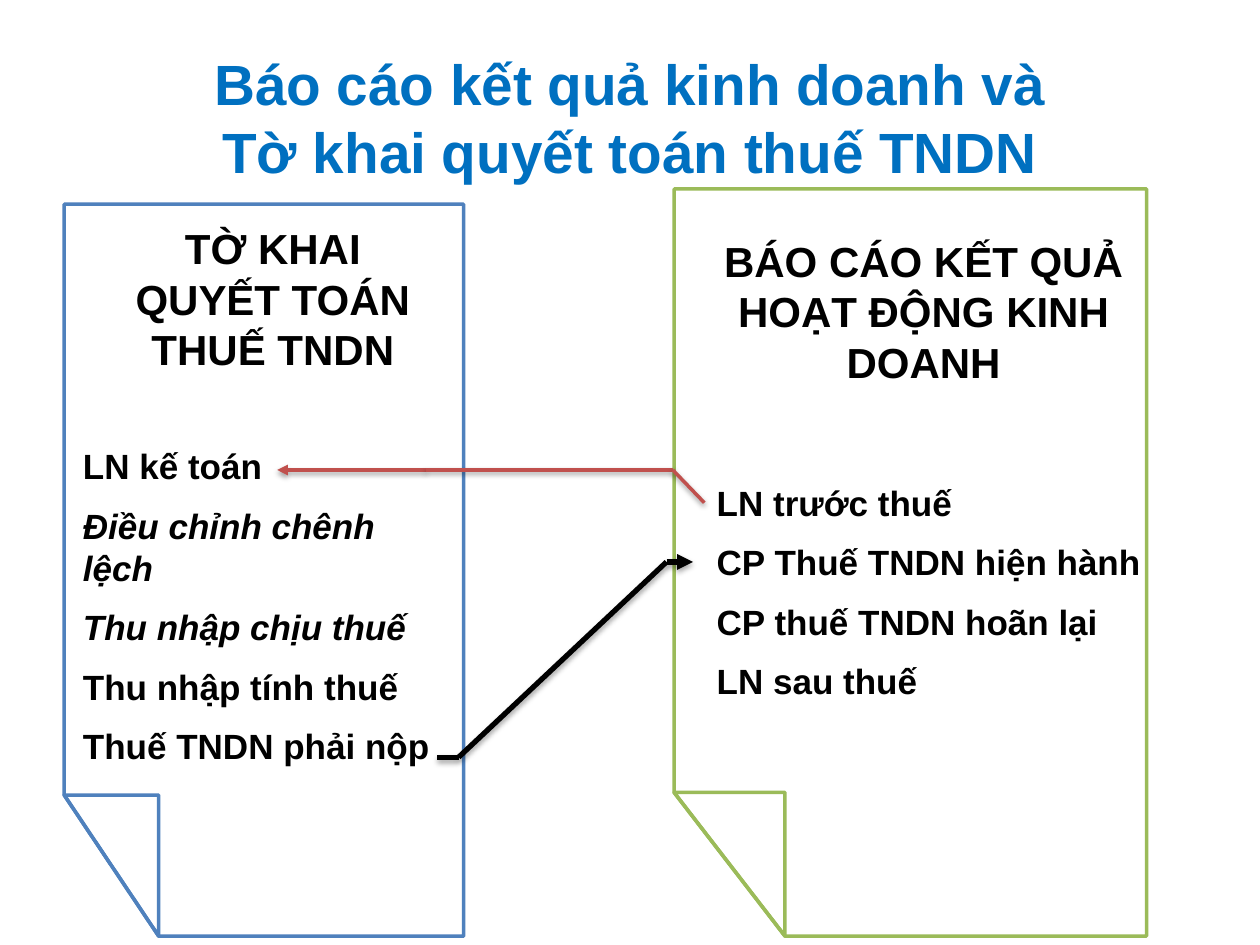
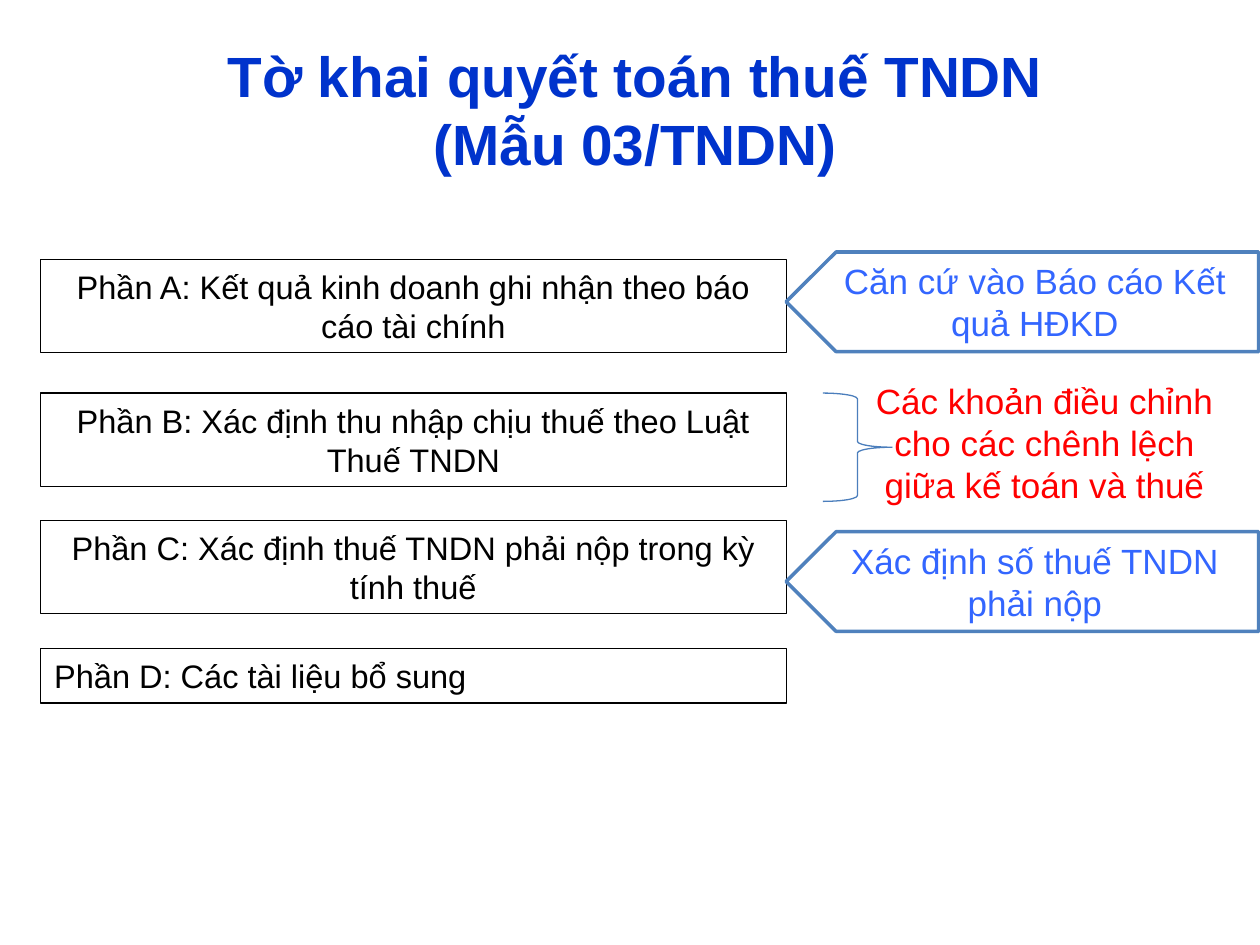
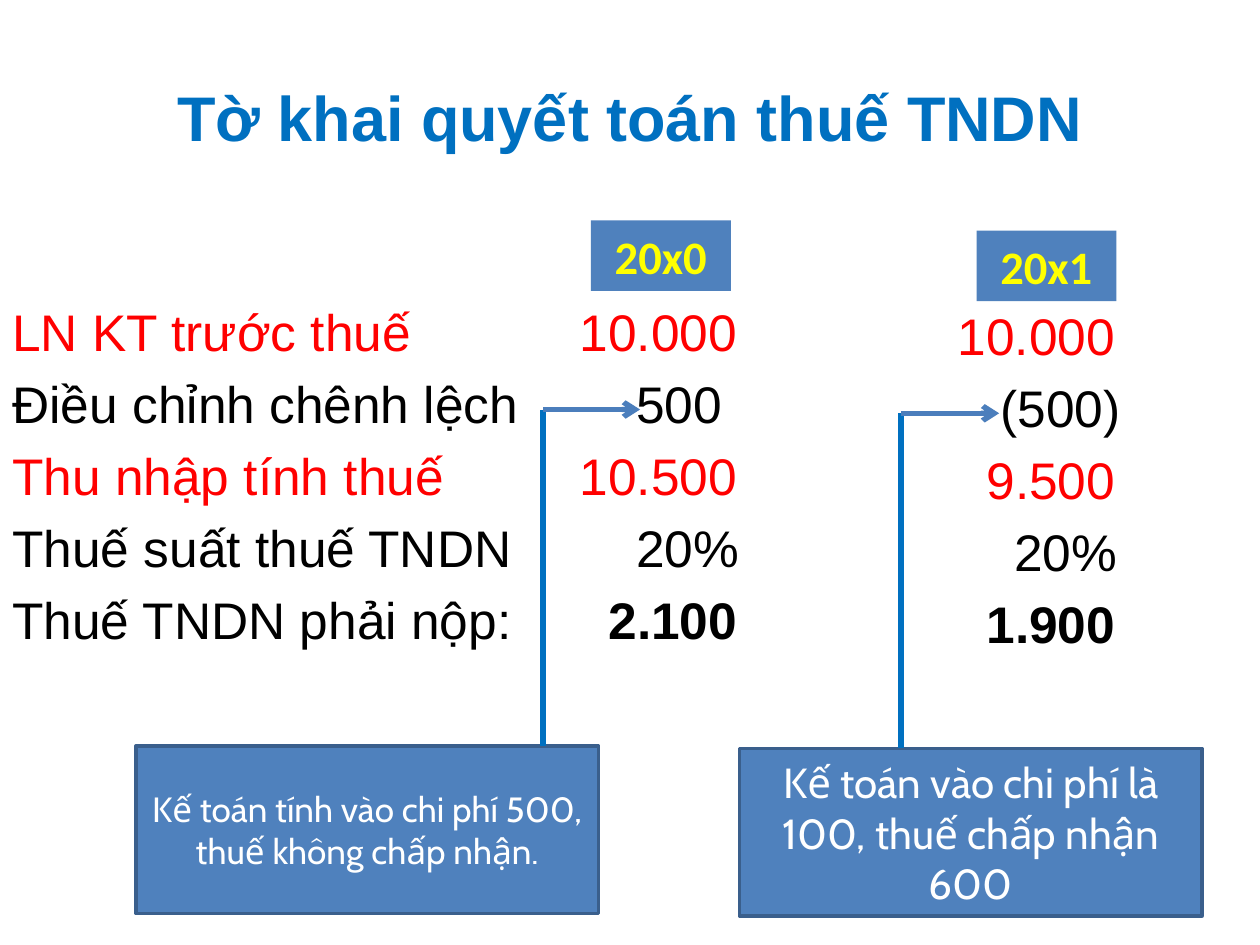
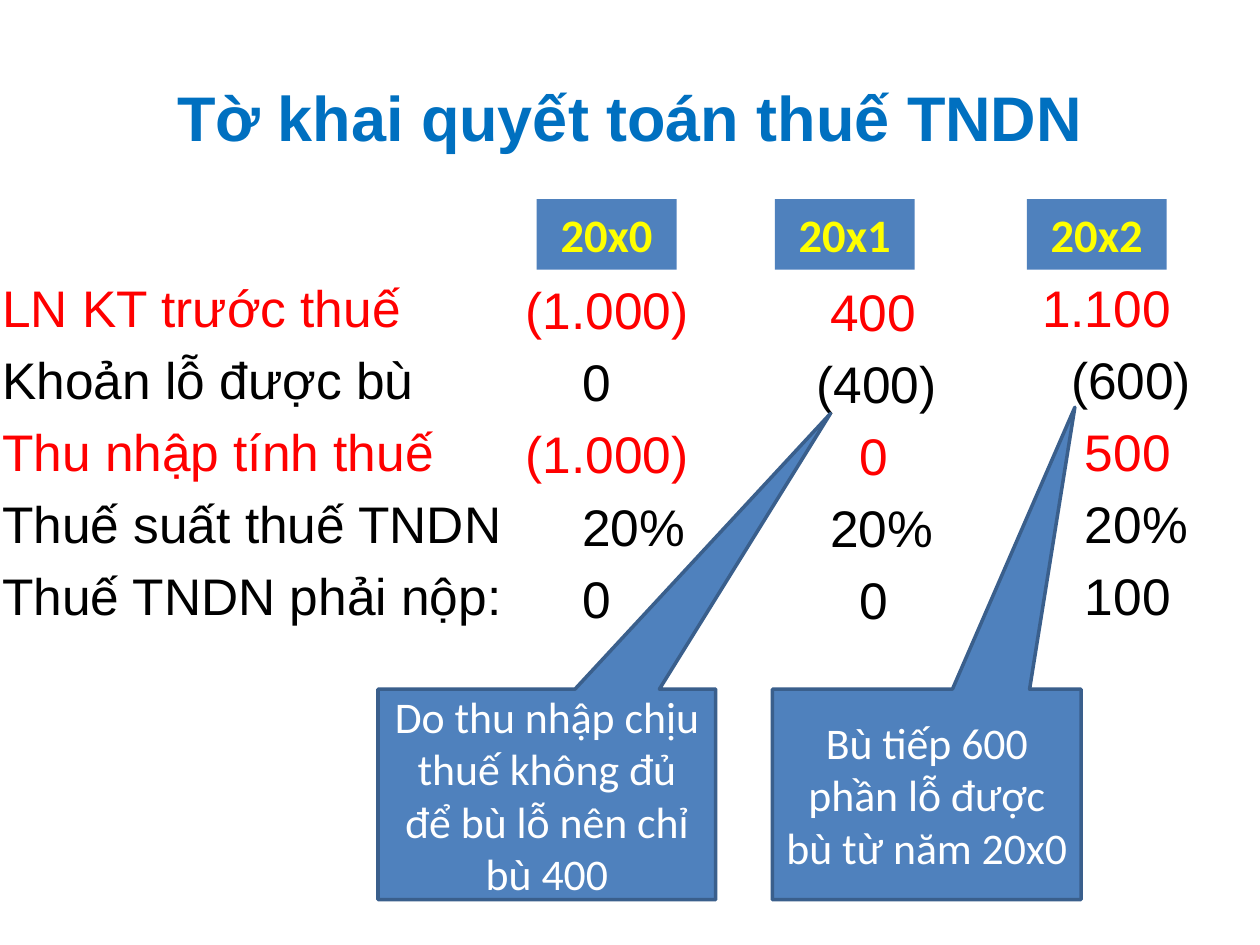
from pptx import Presentation
from pptx.dml.color import RGBColor
from pptx.enum.shapes import MSO_CONNECTOR, MSO_SHAPE as SHAPE
from pptx.enum.text import MSO_ANCHOR as ANCHOR, MSO_AUTO_SIZE, PP_ALIGN as ALIGN
from pptx.oxml.ns import qn
from pptx.util import Inches, Pt
from lxml import etree

BLUE, EDGE, LINK = "4F81BD", "3A5F8C", "4B7EBC"
TITLE, RED, BLACK, WHITE = "0070C0", "FF0000", "000000", "FFFFFF"

# Shared text formats
HEADING = {"size": 24, "bold": True, "align": ALIGN.CENTER}
ITEMS = {"size": 20, "bold": True, "gap": 10}
PART = {"size": 18.6, "insets": (0.11, 0.06)}
REMARK = {"size": 20, "align": ALIGN.CENTER, "insets": (0.11, 0.06)}
ROWS = {"size": 29.4, "gap": 5.9}
FIGURES = {**ROWS, "align": ALIGN.JUSTIFY, "insets": (0.13, 0.07)}
YEAR = {"size": 26.6, "name": "Calibri", "bold": True, "color": "FFFF00",
        "align": ALIGN.CENTER, "anchor": ANCHOR.MIDDLE}
NOTE = {"color": WHITE, "align": ALIGN.CENTER, "anchor": ANCHOR.MIDDLE}

# Slide 1: two documents; sheet is left, top, right, bottom, fold x, fold y
DOCUMENTS = [
    {"sheet": (5.35, 1.5, 9.1, 7.43, 6.23, 6.29), "line": "9BBB59",
     "head": ("BÁO CÁO KẾT QUẢ HOẠT ĐỘNG KINH DOANH", (5.58, 1.82, 3.5, 1.31)),
     "items": ["LN trước thuế", "CP Thuế TNDN hiện hành",
               "CP thuế TNDN hoãn lại", "LN sau thuế"],
     "box": (5.59, 3.77, 3.66, 1.95)},
    {"sheet": (0.51, 1.62, 3.68, 7.43, 1.26, 6.31), "line": BLUE,
     "head": ("TỜ KHAI QUYẾT TOÁN THUẾ TNDN", (0.79, 1.72, 2.75, 1.31)),
     "items": ["LN kế toán",
               ("Điều chỉnh chênh lệch", {"italic": True}),
               ("Thu nhập chịu thuế", {"italic": True}),
               "Thu nhập tính thuế", "Thuế TNDN phải nộp"],
     "box": (0.56, 3.48, 3.02, 2.79)},
]
PROFIT_LINK = [(2.2, 3.73), (3.38, 3.73), (5.34, 3.73), (5.59, 3.99)]
TAX_LINK = [(3.47, 6.01), (3.64, 6.01), (5.29, 4.46), (5.5, 4.46)]

# Slide 2: form parts (text, top, height, alignment) and remarks
PARTS = [
    ("Phần A: Kết quả kinh doanh ghi nhận theo báo cáo tài chính", 2.06, 0.74, ALIGN.CENTER),
    ("Phần B: Xác định thu nhập chịu thuế theo Luật Thuế TNDN", 3.12, 0.74, ALIGN.CENTER),
    ("Phần C: Xác định thuế TNDN phải nộp trong kỳ tính thuế", 4.13, 0.74, ALIGN.CENTER),
    ("Phần D: Các tài liệu bổ sung", 5.15, 0.43, ALIGN.LEFT),
]
ARROW_REMARKS = [("Căn cứ vào Báo cáo Kết quả HĐKD", 2),
                 ("Xác định số thuế TNDN phải nộp", 4.22)]
BRACE_REMARK = "Các khoản điều chỉnh cho các chênh lệch giữa kế toán và thuế"

# Slides 3 and 4: row labels, then year columns with (figure, indent)
LABELS = ["LN KT trước thuế", "Điều chỉnh chênh lệch", "Thu nhập tính thuế",
          "Thuế suất thuế TNDN", "Thuế TNDN phải nộp:"]
LOSS_LABELS = [LABELS[0], "Khoản lỗ được bù", *LABELS[2:]]
ADJUSTED = [
    {"year": "20x0", "tag": (4.69, 1.75), "box": (4.47, 2.31, 2.25, 3.11), "bold_last": True,
     "figures": [("10.000", 0), ("500", 0.45), ("10.500", 0), ("20%", 0.45), ("2.100", 0.23)]},
    {"year": "20x1", "tag": (7.75, 1.83), "box": (7.47, 2.34, 2.11, 3.11), "bold_last": True,
     "figures": [("10.000", 0), ("(500)", 0.34), ("9.500", 0.23), ("20%", 0.45), ("1.900", 0.23)]},
]
LOSSES = [
    {"year": "20x0", "tag": (4.26, 1.58), "box": (4.04, 2.14, 2.11, 3.11),
     "figures": [("(1.000)", 0), ("0", 0.45), ("(1.000)", 0), ("20%", 0.45), ("0", 0.45)]},
    {"year": "20x1", "tag": (6.15, 1.58), "box": (6.35, 2.15, 2.11, 3.62),
     "figures": [("400", 0.11), ("(400)", 0), ("0", 0.34), ("20%", 0.11), ("0", 0.34)]},
    {"year": "20x2", "tag": (8.15, 1.58), "box": (8.14, 2.12, 2.11, 4.62),
     "figures": [("1.100", 0), ("(600)", 0.23), ("500", 0.34), ("20%", 0.34), ("100", 0.34)]},
]
REASONS = [  # text, size, box, elbow corner, arrow tip x
    ("Kế toán tính vào chi phí 500, thuế không chấp nhận.", 20,
     (1.08, 5.92, 3.67, 1.33), (4.31, 3.25), 5.08),
    ("Kế toán vào chi phí là 100, thuế chấp nhận 600", 24,
     (5.87, 5.94, 3.67, 1.33), (7.15, 3.28), 7.93),
]
CALLOUTS = [  # text, box, pointer
    ("Do thu nhập chịu thuế không đủ để bù lỗ nên chỉ bù 400",
     (3, 5.47, 2.68, 1.67), (0.84, -1.81)),
    ("Bù tiếp 600 phần lỗ được bù từ năm 20x0",
     (6.13, 5.47, 2.45, 1.67), (0.48, -1.84)),
]

prs = Presentation()
prs.slide_width, prs.slide_height = Inches(10), Inches(7.5)


def rgb(value):
    return RGBColor.from_string(value)


def inches(values):
    return [Inches(v) for v in values]


def write(sp, paras, size, name="Arial", color=BLACK, bold=False, align=ALIGN.LEFT,
          anchor=ANCHOR.TOP, insets=(0.1, 0.05), gap=0):
    """Fill a shape; each paragraph is a string or (string, overrides)."""
    tf = sp.text_frame
    x, y = inches(insets)
    frame = {"word_wrap": True, "auto_size": MSO_AUTO_SIZE.NONE, "vertical_anchor": anchor,
             "margin_left": x, "margin_right": x, "margin_top": y, "margin_bottom": y}
    for key, value in frame.items():
        setattr(tf, key, value)
    for i, para in enumerate(paras):
        text, extra = (para, {}) if isinstance(para, str) else para
        p = tf.paragraphs[0] if i == 0 else tf.add_paragraph()
        p.text, p.alignment = text, align
        p.space_before = Pt(gap if i else 0)
        if extra.get("indent"):
            p._p.get_or_add_pPr().set("marL", str(Inches(extra["indent"])))
        font = {"size": Pt(size), "name": name, "bold": extra.get("bold", bold),
                "italic": extra.get("italic", False)}
        for r in p.runs:
            for key, value in font.items():
                setattr(r.font, key, value)
            r.font.color.rgb = rgb(extra.get("color", color))


def add_slide(title, size=36, color=TITLE, box=(0.5, 0.3, 9, 1.25)):
    s = prs.slides.add_slide(prs.slide_layouts[5])
    sp = s.shapes.title
    sp.left, sp.top, sp.width, sp.height = inches(box)
    write(sp, [title], size, color=color, bold=True, align=ALIGN.CENTER, anchor=ANCHOR.MIDDLE)
    return s


def add_text(s, box, paras, **fmt):
    write(s.shapes.add_textbox(*inches(box)), paras, **fmt)


def paint(sp, fill=None, line=None, width=2):
    sp.shadow.inherit = False
    if fill:
        sp.fill.solid()
        sp.fill.fore_color.rgb = rgb(fill)
    else:
        sp.fill.background()
    if line:
        sp.line.color.rgb = rgb(line)
        sp.line.width = Pt(width)
    else:
        sp.line.fill.background()


def add_shape(s, kind, box, fill=None, line=None, width=2):
    sp = s.shapes.add_shape(kind, *inches(box))
    paint(sp, fill, line, width)
    return sp


def add_sheet(s, sheet, line):
    """Page outline with its lower left corner folded."""
    left, top, right, bottom, fold_x, fold_y = inches(sheet)
    start, foot = (left, fold_y), (fold_x, bottom)
    fb = s.shapes.build_freeform(*foot, scale=1.0)
    fb.add_line_segments([start, (left, top), (right, top), (right, bottom)])
    fb.move_to(*start)
    fb.add_line_segments([(fold_x, fold_y), foot])
    paint(fb.convert_to_shape(), WHITE, line)


def add_path(s, points, colors, width, head=None, tail=None, shadow=None):
    """Grouped straight lines through the points, arrowheads at the ends."""
    group = s.shapes.add_group_shape()
    last = len(points) - 2
    for i, (a, b) in enumerate(zip(points, points[1:])):
        c = group.shapes.add_connector(MSO_CONNECTOR.STRAIGHT, *inches(a + b))
        c.line.color.rgb = rgb(colors[i % len(colors)])
        c.line.width = Pt(width)
        ln = c.line._get_or_add_ln()
        for tag, kind, index in (("a:headEnd", head, 0), ("a:tailEnd", tail, last)):
            if kind and i == index:
                etree.SubElement(ln, qn(tag), type=kind)
        effects = etree.SubElement(c._element.spPr, qn("a:effectLst"))
        if shadow:
            opacity, distance = shadow
            outer = etree.SubElement(effects, qn("a:outerShdw"), blurRad=str(Pt(3.1)),
                                     dist=str(Pt(distance)), dir="5400000", rotWithShape="0")
            clr = etree.SubElement(outer, qn("a:srgbClr"), val=BLACK)
            etree.SubElement(clr, qn("a:alpha"), val=str(opacity * 1000))


def add_figures(s, labels, label_box, columns):
    tints = [RED, BLACK, RED, BLACK, BLACK]
    add_text(s, label_box, [(t, {"color": c}) for t, c in zip(labels, tints)], **ROWS)
    for col in columns:
        rows = [(t, {"color": c, "indent": n}) for (t, n), c in zip(col["figures"], tints)]
        rows[-1][1]["bold"] = col.get("bold_last", False)
        add_text(s, col["box"], rows, **FIGURES)
        write(add_shape(s, SHAPE.RECTANGLE, col["tag"] + (1.11, 0.56), BLUE),
              [col["year"]], **YEAR)


# Slide 1: income statement and tax return
s = add_slide("Báo cáo kết quả kinh doanh và\vTờ khai quyết toán thuế TNDN", 32.4)
for doc in DOCUMENTS:
    add_sheet(s, doc["sheet"], doc["line"])
    head, box = doc["head"]
    add_text(s, box, [head], **HEADING)
    add_text(s, doc["box"], doc["items"], **ITEMS)
add_path(s, PROFIT_LINK, ["C0504D"], 2, head="triangle", shadow=(38, 1.6))
add_path(s, TAX_LINK, [BLACK], 3, tail="triangle", shadow=(35, 1.8))

# Slide 2: parts of the form
s = add_slide("Tờ khai quyết toán thuế TNDN\v(Mẫu 03/TNDN)", 32.4, "0033CC",
              (0.54, 0.24, 9, 1.25))
for text, top, height, align in PARTS:
    sp = add_shape(s, SHAPE.RECTANGLE, (0.32, top, 5.92, height), line=BLACK, width=0.75)
    write(sp, [text], align=align, **PART)
for text, top in ARROW_REMARKS:
    sp = add_shape(s, SHAPE.PENTAGON, (6.24, top, 3.75, 0.79), WHITE, BLUE)
    sp._element.spPr.find(qn("a:xfrm")).set("flipH", "1")
    write(sp, [text], color="3366FF", **REMARK)
add_text(s, (6.8, 2.95, 2.98, 1.12), [BRACE_REMARK], color=RED, **REMARK)
add_shape(s, SHAPE.RIGHT_BRACE, (6.53, 3.12, 0.55, 0.86), line=LINK, width=0.75)

# Slide 3: adjustment in two years
s = add_slide("Tờ khai quyết toán thuế TNDN")
add_figures(s, LABELS, (0, 2.33, 5.33, 5), ADJUSTED)
for text, size, box, (x, y), tip in REASONS:
    write(add_shape(s, SHAPE.RECTANGLE, box, BLUE, EDGE), [text], size, "Cabin", **NOTE)
    add_path(s, [(x, box[1]), (x, y), (tip, y)], [TITLE, LINK], 3, tail="arrow")

# Slide 4: losses carried forward
s = add_slide("Tờ khai quyết toán thuế TNDN")
add_figures(s, LOSS_LABELS, (-0.08, 2.14, 5.33, 4.62), LOSSES)
for text, box, pointer in CALLOUTS:
    sp = add_shape(s, SHAPE.RECTANGULAR_CALLOUT, box, BLUE, EDGE)
    for i, value in enumerate(pointer):
        sp.adjustments[i] = value
    write(sp, [text], 25, "Calibri", **NOTE)

prs.save("out.pptx")
